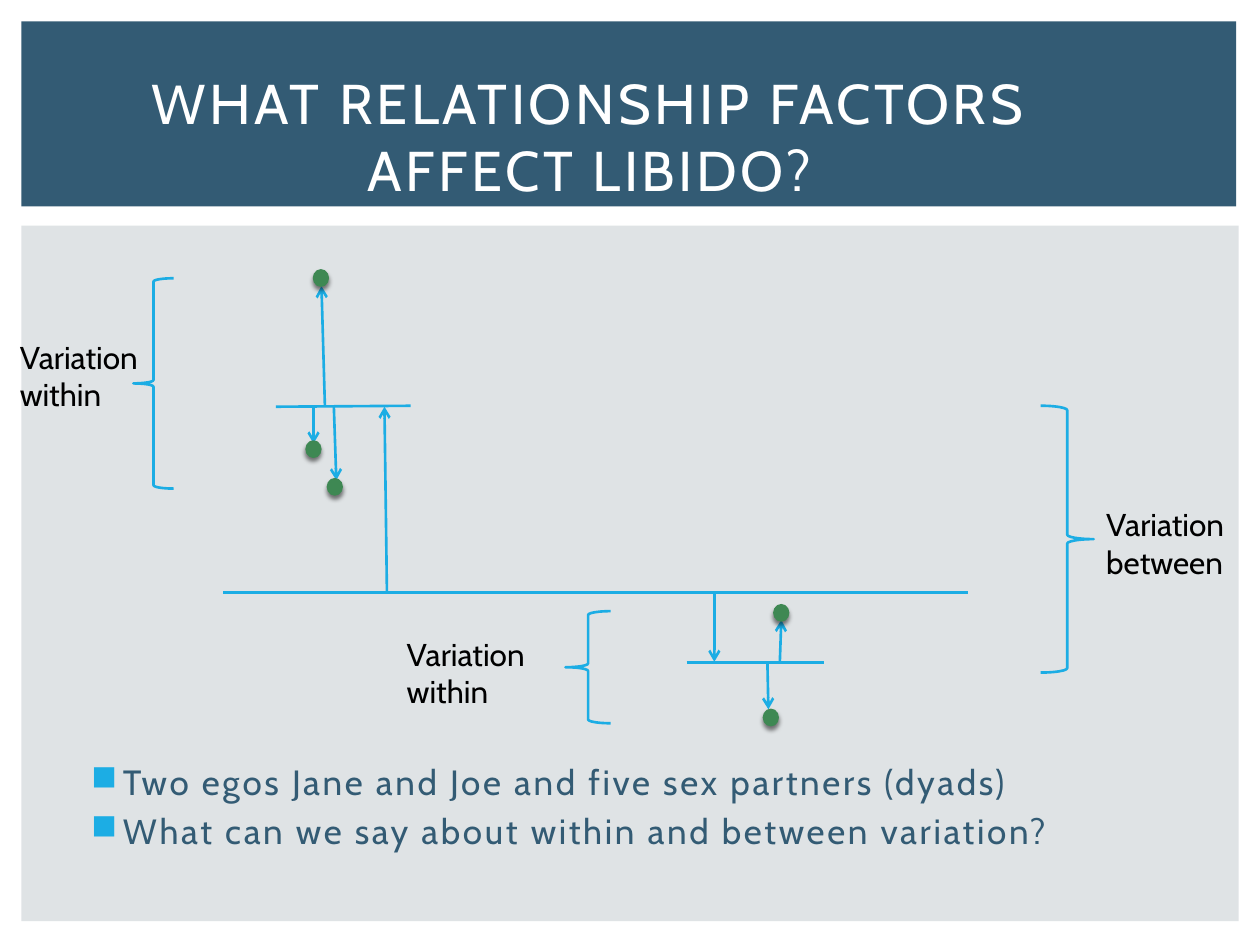
from lxml import etree
from pptx import Presentation
from pptx.dml.color import RGBColor
from pptx.enum.shapes import MSO_CONNECTOR, MSO_SHAPE
from pptx.enum.text import MSO_ANCHOR, PP_ALIGN
from pptx.oxml.ns import qn
from pptx.util import Cm, Pt

STRAIGHT = MSO_CONNECTOR.STRAIGHT
RECTANGLE, OVAL = MSO_SHAPE.RECTANGLE, MSO_SHAPE.OVAL
LEFT_BRACE, RIGHT_BRACE = MSO_SHAPE.LEFT_BRACE, MSO_SHAPE.RIGHT_BRACE
TOP, MIDDLE = MSO_ANCHOR.TOP, MSO_ANCHOR.MIDDLE
LEFT, CENTER = PP_ALIGN.LEFT, PP_ALIGN.CENTER

FONT = "Cabin"
NAVY = RGBColor(0x33, 0x5B, 0x74)
PALE = RGBColor(0xDF, 0xE3, 0xE5)
BLUE = RGBColor(0x1C, 0xAD, 0xE4)
GREEN = RGBColor(0x3E, 0x88, 0x53)
WHITE = RGBColor(0xFF, 0xFF, 0xFF)
BLACK = RGBColor(0x00, 0x00, 0x00)

# Heights of the overall mean and of each ego's mean, in cm
GRAND_MEAN, FIRST_MEAN, SECOND_MEAN = 11.94, 8.2, 13.36

MEAN_LINES = [
    (5.56, FIRST_MEAN, 8.28, 8.18),
    (4.5, GRAND_MEAN, 19.51, GRAND_MEAN),
    (13.84, SECOND_MEAN, 16.61, SECOND_MEAN),
]
DEVIATION_ARROWS = [
    (6.55, FIRST_MEAN, 6.48, 5.77),
    (6.73, FIRST_MEAN, 6.78, 9.68),
    (6.32, FIRST_MEAN, 6.32, 8.94),
    (7.8, GRAND_MEAN, 7.75, FIRST_MEAN),
    (15.47, SECOND_MEAN, 15.49, 14.3),
    (15.72, SECOND_MEAN, 15.75, 12.5),
    (14.4, GRAND_MEAN, 14.4, 13.34),
]
PARTNERS = [(6.32, 5.44), (6.6, 9.65), (6.17, 8.89), (15.6, 12.19), (15.39, 14.3)]
BRACES = [
    (LEFT_BRACE, (2.69, 5.61, 0.81, 4.24), 0),
    (RIGHT_BRACE, (11.4, 12.32, 0.91, 2.26), 180),
    (RIGHT_BRACE, (20.98, 8.18, 1.07, 5.38), 0),
]
LABELS = [
    ("Variation within", (0.15, 6.68, 3.86, 1.8)),
    ("Variation within", (7.95, 12.67, 3.28, 1.8)),
    ("Variation between", (22.05, 10.06, 3.28, 1.8)),
]
POINTS = [
    "Two egos Jane and Joe and five sex partners (dyads)",
    "What can we say about within and between variation?",
]


def add_panel(page, area, color):
    panel = page.shapes.add_shape(RECTANGLE, *map(Cm, area))
    panel.shadow.inherit = False
    panel.fill.solid()
    panel.fill.fore_color.rgb = color
    panel.line.fill.background()


def add_bullet(para):
    properties = para._p.get_or_add_pPr()
    properties.set("marL", str(Cm(0.76)))
    properties.set("indent", str(-Cm(0.64)))
    color = etree.SubElement(properties, qn("a:buClr"))
    etree.SubElement(color, qn("a:srgbClr"), val=str(BLUE))
    etree.SubElement(properties, qn("a:buChar"), char="■")


def add_text(page, area, lines, size, color, spacing=0, align=LEFT,
             anchor=TOP, bulleted=False):
    box = page.shapes.add_textbox(*map(Cm, area))
    frame = box.text_frame
    frame.word_wrap = True
    frame.vertical_anchor = anchor
    for index, line in enumerate(lines):
        para = frame.add_paragraph() if index else frame.paragraphs[0]
        para.alignment = align
        if bulleted:
            add_bullet(para)
        if index:
            para.space_before = Pt(4)
        span = para.add_run()
        span.text = line
        span.font.name = FONT
        span.font.size = Pt(size)
        span.font.color.rgb = color
        if spacing:
            span.font._element.set("spc", str(int(spacing * 100)))


def add_line(page, ends, arrow=False):
    line = page.shapes.add_connector(STRAIGHT, *map(Cm, ends))
    line.line.color.rgb = BLUE
    line.line.width = Pt(1.5)
    properties = line.element.spPr
    if arrow:
        etree.SubElement(properties.find(qn("a:ln")), qn("a:tailEnd"), type="arrow")
    etree.SubElement(properties, qn("a:effectLst"))


def add_partner(page, left, top):
    dot = page.shapes.add_shape(OVAL, Cm(left), Cm(top), Cm(0.3), Cm(0.33))
    dot.fill.solid()
    dot.fill.fore_color.rgb = GREEN
    dot.line.color.rgb = GREEN
    dot.line.width = Pt(0.79)
    # Soft shadow straight below the dot
    dot.shadow.inherit = False
    effects = dot.element.spPr.find(qn("a:effectLst"))
    shadow = etree.SubElement(effects, qn("a:outerShdw"), blurRad=str(Pt(2.5)),
                              dist=str(Pt(2)), dir="5400000", rotWithShape="0")
    color = etree.SubElement(shadow, qn("a:srgbClr"), val=str(BLACK))
    etree.SubElement(color, qn("a:alpha"), val="50000")


def add_brace(page, kind, area, rotation):
    brace = page.shapes.add_shape(kind, *map(Cm, area))
    brace.rotation = rotation
    brace.shadow.inherit = False
    brace.fill.background()
    brace.line.color.rgb = BLUE
    brace.line.width = Pt(1.5)


def main():
    deck = Presentation()
    deck.slide_width, deck.slide_height = Cm(25.4), Cm(19.05)
    page = deck.slides.add_slide(deck.slide_layouts[6])

    # Background panels, title and bullet points
    add_panel(page, (0.43, 4.55, 24.54, 14.02), PALE)
    add_panel(page, (0.43, 0.43, 24.49, 3.73), NAVY)
    add_text(page, (1.4, 1.35, 20.98, 2.77),
             ["WHAT RELATIONSHIP FACTORS AFFECT LIBIDO?"], 32, WHITE,
             spacing=2, align=CENTER, anchor=MIDDLE)
    add_text(page, (1.47, 15.21, 20.98, 4.19), POINTS, 20, NAVY,
             spacing=1.5, bulleted=True)

    # Diagram: means, deviations and partners
    for ends in MEAN_LINES:
        add_line(page, ends)
    for ends in DEVIATION_ARROWS:
        add_line(page, ends, arrow=True)
    for left, top in PARTNERS:
        add_partner(page, left, top)

    # Braces and their labels
    for kind, area, rotation in BRACES:
        add_brace(page, kind, area, rotation)
    for label, area in LABELS:
        add_text(page, area, [label], 18, BLACK)

    deck.save("out.pptx")


if __name__ == "__main__":
    main()
